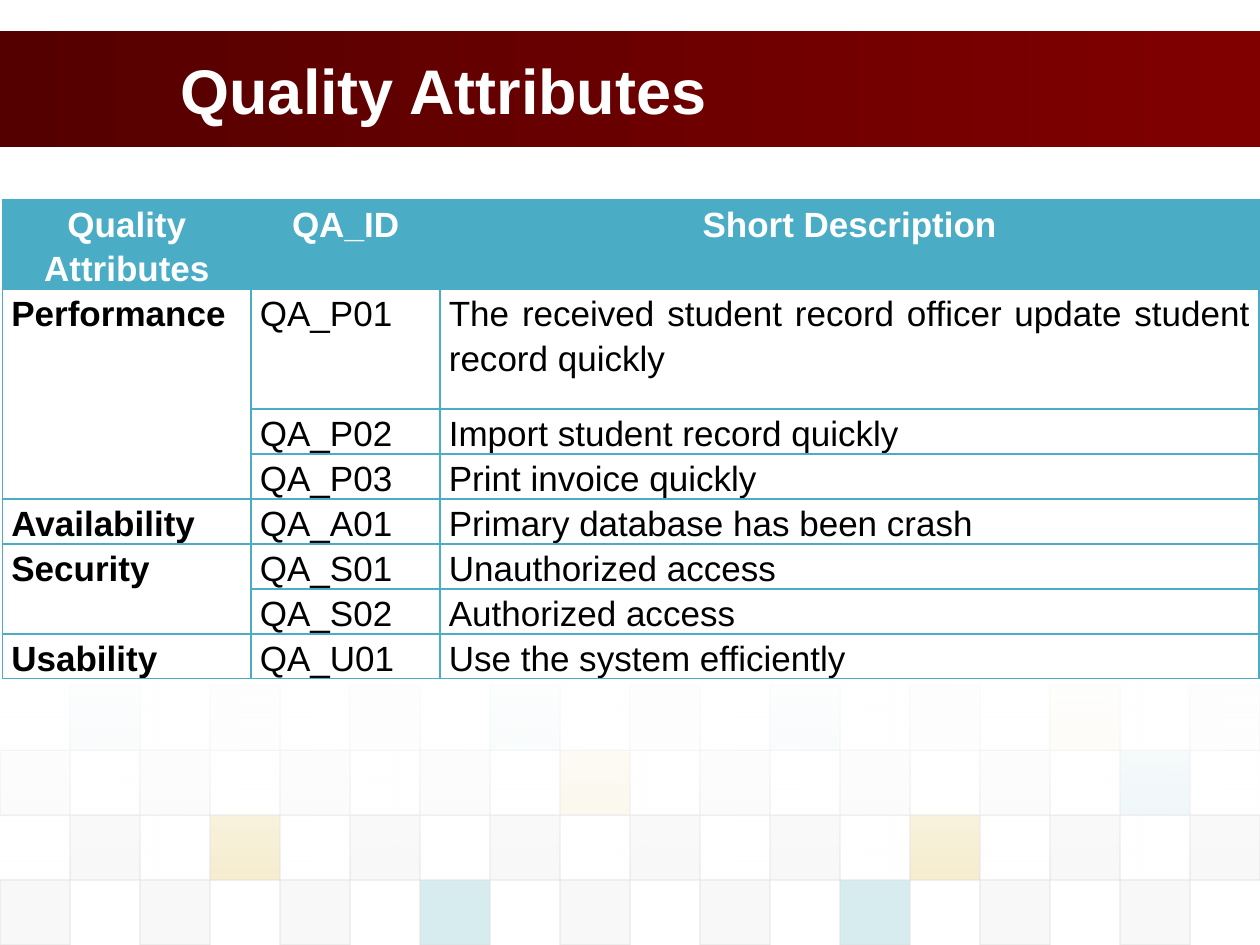
from dataclasses import dataclass

from lxml import etree
from pptx import Presentation
from pptx.dml.color import RGBColor
from pptx.enum import shapes, text
from pptx.oxml import ns
from pptx.util import Pt


@dataclass(frozen=True)
class Theme:
    """Colours, font and type sizes of the deck."""
    font: str = "Arial"
    title_size: int = 36
    table_size: int = 20
    white: str = "FFFFFF"
    black: str = "000000"
    maroon: str = "800000"
    grid: str = "4BACC6"
    grey: str = "DDDDDD"
    pale: str = "EAEAEA"
    gold: str = "D3A911"
    teal: str = "38A3B2"


THEME = Theme()
TILE_COLOURS = {"g": THEME.grey, "p": THEME.pale, "y": THEME.gold, "t": THEME.teal}
TILE_ROWS = [
    (".t.p.p.t.g.t.p.y.p", 5),
    ("g.g.g.g.y.g.g.g.t.", 10),
    (".g.y.g.g.g.g.y.g.g", 20),
    ("g.g.g.t.g.g.t.g.g.", 20),
]
HEADINGS = ["Quality Attributes", "QA_ID", "Short Description"]
GROUPS = {
    "Performance": [
        ("QA_P01", "The received student record officer update student record quickly"),
        ("QA_P02", "Import student record quickly"),
        ("QA_P03", "Print invoice quickly"),
    ],
    "Availability": [("QA_A01", "Primary database has been crash")],
    "Security": [("QA_S01", "Unauthorized access"), ("QA_S02", "Authorized access")],
    "Usability": [("QA_U01", "Use the system efficiently")],
}
COLUMN_WIDTHS = [142, 108, 468]
ROW_HEIGHTS = [46, 68.4] + [23] * 6


def rgb(colour):
    """Turn a hex string into a colour."""
    return RGBColor.from_string(colour)


def add_rectangle(page, left, top, width, height):
    """Add a plain rectangle without line or shadow."""
    box = page.shapes.add_shape(
        shapes.MSO_SHAPE.RECTANGLE, Pt(left), Pt(top), Pt(width), Pt(height))
    box.shadow.inherit = False
    box.line.fill.background()
    return box


def tune_colours(box, kind, percents):
    """Give the colours of a shape, in order, an alpha or shade percentage."""
    colours = box._element.spPr.iter(ns.qn("a:srgbClr"))
    for colour, percent in zip(list(colours), percents):
        etree.SubElement(colour, ns.qn(f"a:{kind}"), val=str(percent * 1000))


def fill_gradient(box, colour, angle):
    """Fill a shape with a two-stop gradient of one colour."""
    box.fill.gradient()
    box.fill.gradient_angle = angle
    for stop, position in zip(box.fill.gradient_stops, (0, 1)):
        stop.color.rgb = rgb(colour)
        stop.position = position


def write(para, words, size, colour, bold, align):
    """Write one run into a paragraph."""
    para.alignment = align
    span = para.add_run()
    span.text = words
    span.font.name = THEME.font
    span.font.size = Pt(size)
    span.font.bold = bold
    span.font.color.rgb = rgb(colour)


def add_tiles(page, left, top, width, height):
    """Draw the chequered floor, fading to white at its top."""
    tile_width = width / len(TILE_ROWS[0][0])
    tile_height = height / len(TILE_ROWS)
    for row, (pattern, opacity) in enumerate(TILE_ROWS):
        for column, code in enumerate(pattern):
            if code == ".":
                continue
            tile = add_rectangle(page, left + column * tile_width,
                                 top + row * tile_height, tile_width, tile_height)
            tile.fill.solid()
            tile.fill.fore_color.rgb = rgb(TILE_COLOURS[code])
            tile.line.color.rgb = rgb(THEME.grey)
            tile.line.width = Pt(0.75)
            tune_colours(tile, "alpha", (opacity, 60))
    veil = add_rectangle(page, left, top - 5, width, 116.5)
    fill_gradient(veil, THEME.white, 270)
    tune_colours(veil, "alpha", (90, 0))


def add_title(page, left, top, width, height):
    """Draw the maroon band and set the title on it."""
    band = add_rectangle(page, left, top, width, height)
    fill_gradient(band, THEME.maroon, 0)
    tune_colours(band, "shade", (40,))
    title = page.shapes.title
    title.left, title.top = Pt(left + 96), Pt(top)
    title.width, title.height = Pt(582), Pt(height)
    page.shapes._spTree.append(title._element)
    frame = title.text_frame
    frame.word_wrap = True
    frame.auto_size = text.MSO_AUTO_SIZE.NONE
    frame.vertical_anchor = text.MSO_ANCHOR.MIDDLE
    write(frame.paragraphs[0], "Quality Attributes", THEME.title_size,
          THEME.white, True, text.PP_ALIGN.LEFT)


def format_cell(cell, fill):
    """Set margins, borders and fill of a cell."""
    cell.margin_left = cell.margin_right = Pt(5)
    cell.margin_top = cell.margin_bottom = 0
    properties = cell._tc.get_or_add_tcPr()
    for side in "LRTB":
        line = etree.SubElement(properties, ns.qn(f"a:ln{side}"), w=str(Pt(1)))
        solid = etree.SubElement(line, ns.qn("a:solidFill"))
        etree.SubElement(solid, ns.qn("a:srgbClr"), val=THEME.grid)
    if fill:
        cell.fill.solid()
        cell.fill.fore_color.rgb = rgb(fill)
    else:
        cell.fill.background()


def write_cell(cell, words, colour, bold, align):
    """Write the text of a table cell."""
    para = cell.text_frame.paragraphs[0]
    para.line_spacing = 1.15
    write(para, words, THEME.table_size, colour, bold, align)


def add_attribute_table(page, left, top, width, height):
    """Build the table of quality attributes, one merged cell for each group."""
    table = page.shapes.add_table(len(ROW_HEIGHTS), len(COLUMN_WIDTHS), Pt(left),
                                  Pt(top), Pt(width), Pt(height)).table
    table.horz_banding = False
    for column, size in zip(table.columns, COLUMN_WIDTHS):
        column.width = Pt(size)
    for index, (row, size) in enumerate(zip(table.rows, ROW_HEIGHTS)):
        row.height = Pt(size)
        for cell in row.cells:
            format_cell(cell, None if index else THEME.grid)
    for column, heading in enumerate(HEADINGS):
        write_cell(table.cell(0, column), heading, THEME.white, True,
                   text.PP_ALIGN.CENTER)
    row = 1
    for group, entries in GROUPS.items():
        first = table.cell(row, 0)
        if len(entries) > 1:
            first.merge(table.cell(row + len(entries) - 1, 0))
        write_cell(first, group, THEME.black, True, text.PP_ALIGN.LEFT)
        for code, description in entries:
            write_cell(table.cell(row, 1), code, THEME.black, False,
                       text.PP_ALIGN.LEFT)
            write_cell(table.cell(row, 2), description, THEME.black, False,
                       text.PP_ALIGN.JUSTIFY)
            row += 1


def main():
    """Build the deck and save it."""
    deck = Presentation()
    deck.slide_width, deck.slide_height = Pt(720), Pt(540)
    page = deck.slides.add_slide(deck.slide_layouts[5])
    add_tiles(page, 0, 391.6, 720, 148.4)
    add_title(page, 0, 18, 720, 66)
    add_attribute_table(page, 1.5, 114, sum(COLUMN_WIDTHS), sum(ROW_HEIGHTS))
    deck.save("out.pptx")


if __name__ == "__main__":
    main()
